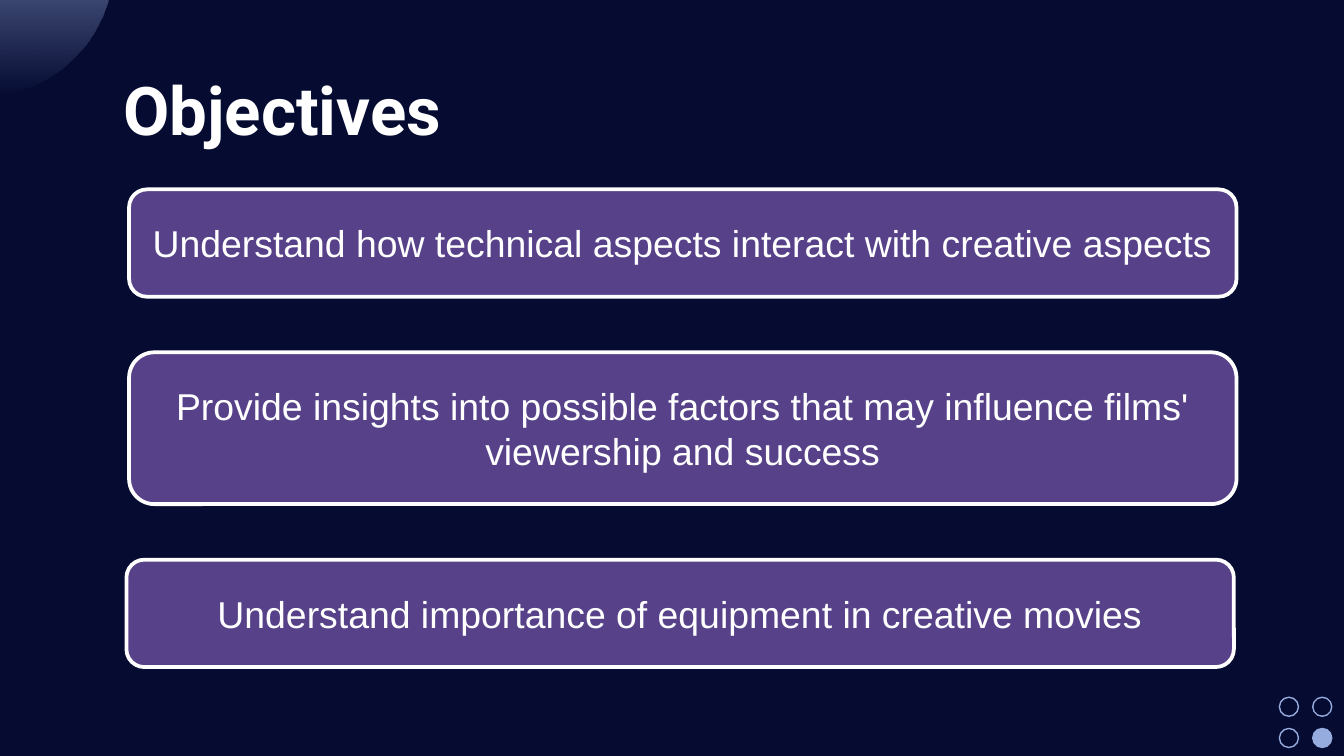
from dataclasses import dataclass

from lxml import etree
from pptx import Presentation
from pptx import util as u
from pptx.dml.color import RGBColor
from pptx.enum import shapes, text
from pptx.oxml import ns


@dataclass(frozen=True)
class Theme:
    night: RGBColor = RGBColor.from_string("050B31")
    violet: RGBColor = RGBColor.from_string("57428A")
    periwinkle: RGBColor = RGBColor.from_string("97ACDE")
    white: RGBColor = RGBColor.from_string("FFFFFF")
    title_size: u.Pt = u.Pt(36)
    card_size: u.Pt = u.Pt(20)


theme = Theme()


def add_shape(kind, left, top, width, height):
    shape = slide.shapes.add_shape(kind, u.Cm(left), u.Cm(top), u.Cm(width), u.Cm(height))
    shape.shadow.inherit = False
    return shape


def format_run(run, font_name, size, bold=False):
    run.font.name = font_name
    run.font.size = size
    run.font.bold = bold
    run.font.color.rgb = theme.white


presentation = Presentation()
presentation.slide_width = u.Cm(25.4)
presentation.slide_height = u.Cm(14.29)
slide = presentation.slides.add_slide(presentation.slide_layouts[6])
slide.background.fill.solid()
slide.background.fill.fore_color.rgb = theme.night

glow = add_shape(shapes.MSO_SHAPE.OVAL, -2.82, -3.15, 4.95, 4.95)
glow.line.fill.background()
glow.fill.gradient()
glow.fill.gradient_angle = 270
for stop, position in zip(glow.fill.gradient_stops, (0, 1)):
    stop.position = position
    stop.color.rgb = theme.periwinkle
last_color = glow.fill._fill._gradFill.findall(".//" + ns.qn("a:srgbClr"))[-1]
etree.SubElement(last_color, ns.qn("a:alpha"), val="0")

for row in range(2):
    for column in range(2):
        dot = add_shape(shapes.MSO_SHAPE.OVAL, 24.18 + 0.63 * column, 13.18 + 0.59 * row, 0.36, 0.36)
        dot.line.color.rgb = theme.periwinkle
        dot.line.width = u.Pt(0.75)
        if row and column:
            dot.fill.solid()
            dot.fill.fore_color.rgb = theme.periwinkle
        else:
            dot.fill.background()

title = slide.shapes.add_textbox(u.Cm(2.08), u.Cm(1.02), u.Cm(21.44), u.Cm(2.06))
title_frame = title.text_frame
title_frame.word_wrap = True
title_frame.vertical_anchor = text.MSO_ANCHOR.MIDDLE
title_frame.margin_left = title_frame.margin_right = u.Cm(0.25)
title_frame.margin_top = title_frame.margin_bottom = u.Cm(0.25)
title_frame.text = "Objectives"
format_run(title_frame.paragraphs[0].runs[0], "Roboto", theme.title_size, bold=True)

objectives = [
    ("Understand how technical aspects interact with creative aspects", 2.44, 2.03),
    ("Provide insights into possible factors that may influence films' viewership and success", 2.44, 2.87),
    ("Understand importance of equipment in creative movies", 2.39, 2.03),
]
card_gap = 1.05
card_top = 3.58
for objective, left, height in objectives:
    card = add_shape(shapes.MSO_SHAPE.ROUNDED_RECTANGLE, left, card_top, 20.93, height)
    card.fill.solid()
    card.fill.fore_color.rgb = theme.violet
    card.line.color.rgb = theme.white
    card.line.width = u.Pt(2)
    card.text_frame.word_wrap = True
    card.text_frame.vertical_anchor = text.MSO_ANCHOR.MIDDLE
    card.text_frame.text = objective
    paragraph = card.text_frame.paragraphs[0]
    paragraph.alignment = text.PP_ALIGN.CENTER
    format_run(paragraph.runs[0], "Arial", theme.card_size)
    card_top += height + card_gap

presentation.save("out.pptx")
